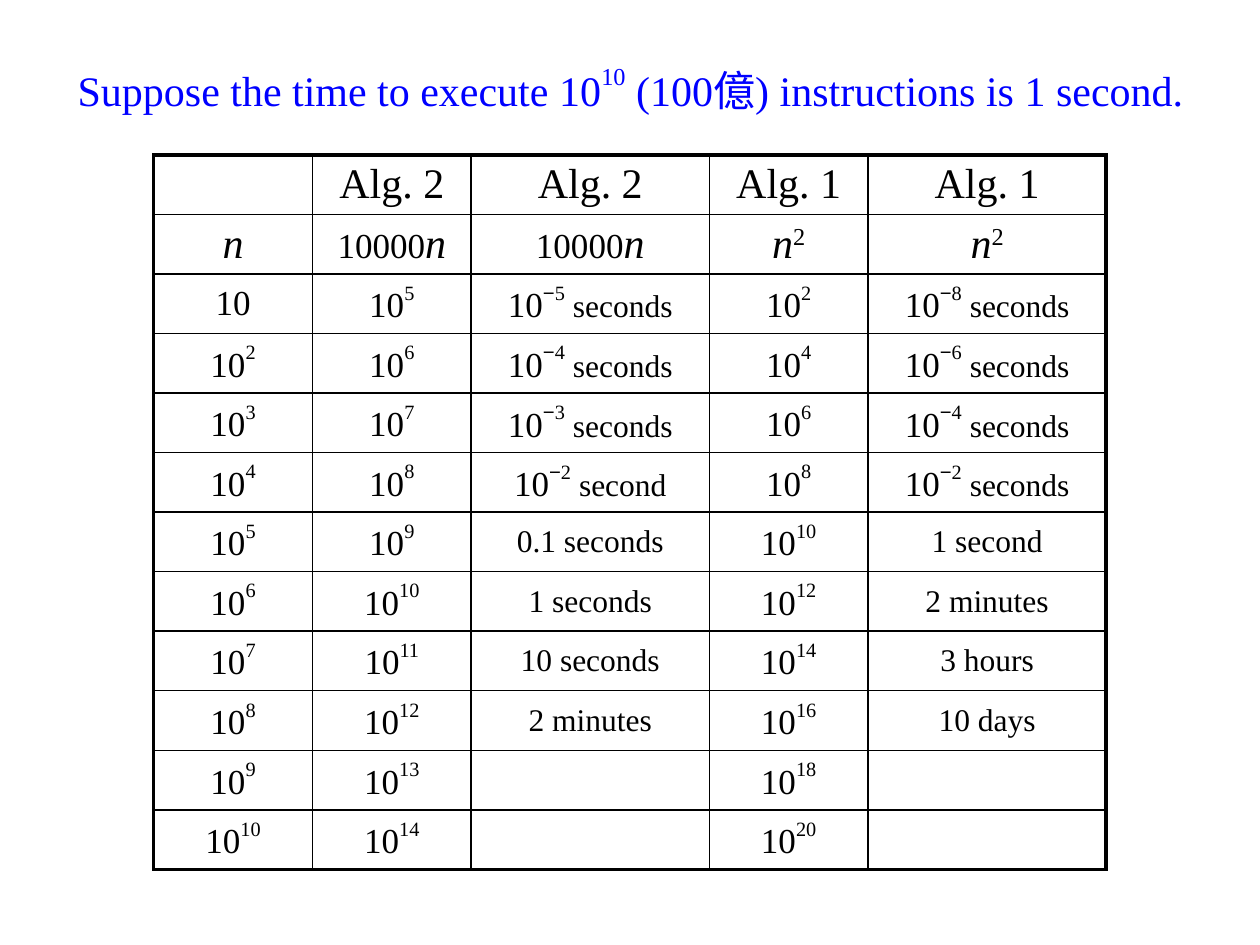
from lxml import etree
from pptx import Presentation
from pptx.dml.color import RGBColor
from pptx.enum.text import MSO_ANCHOR, PP_ALIGN
from pptx.oxml.ns import qn
from pptx.util import Pt

BLACK = RGBColor(0x00, 0x00, 0x00)
BLUE = RGBColor(0x00, 0x00, 0xFF)
CENTER = PP_ALIGN.CENTER
MIDDLE = MSO_ANCHOR.MIDDLE
SERIF = "Times New Roman"
SANS = "Arial"

COL_WIDTHS = [90.72, 90.72, 136.08, 90.72, 136.08]
ROW_HEIGHT = 34.02
INNER, OUTER = 1, 2.25

ALG2_TIMES = [(-5, " seconds"), (-4, " seconds"), (-3, " seconds"), (-2, " second"),
              "0.1 seconds", "1 seconds", "10 seconds", "2 minutes", "", ""]
ALG1_TIMES = [(-8, " seconds"), (-6, " seconds"), (-4, " seconds"), (-2, " seconds"),
              "1 second", "2 minutes", "3 hours", "10 days", "", ""]


def add_text(p, text, size=20, font=SERIF, color=BLACK, italic=False, raised=0):
    r = p.add_run()
    r.text = text
    r.font.size = Pt(size)
    r.font.name = font
    r.font.italic = italic
    r.font.color.rgb = color
    if raised:
        r.font._element.set("baseline", str(raised * 1000))


def power(exponent):
    runs = [("10", {})]
    if exponent < 0:
        runs.append(("\u2212", {"font": SANS, "raised": 50}))
    if exponent != 1:
        runs.append((str(abs(exponent)), {"raised": 50}))
    return runs


def duration(value):
    if isinstance(value, str):
        return [(value, {"size": 18})] if value else []
    exponent, unit = value
    return power(exponent) + [(unit, {"size": 18})]


def table_rows():
    n = ("n", {"size": 24, "italic": True})
    linear = [("10000", {}), n]
    square = [n, ("2", {"size": 24, "raised": 30})]
    alg1, alg2 = [[(name, {"size": 24})] for name in ("Alg. 1", "Alg. 2")]
    rows = [[[], alg2, alg2, alg1, alg1], [[n], linear, linear, square, square]]
    for k, (time2, time1) in enumerate(zip(ALG2_TIMES, ALG1_TIMES), 1):
        rows.append([power(k), power(k + 4), duration(time2),
                     power(2 * k), duration(time1)])
    return rows


def set_borders(cell, widths):
    tc_pr = cell._tc.get_or_add_tcPr()
    for i, (side, width) in enumerate(zip("LRTB", widths)):
        ln = etree.Element(qn("a:ln" + side), w=str(Pt(width)))
        fill = etree.SubElement(ln, qn("a:solidFill"))
        etree.SubElement(fill, qn("a:srgbClr"), val=str(BLACK))
        tc_pr.insert(i, ln)


def fill_cell(cell, runs, margin):
    cell.fill.background()
    cell.vertical_anchor = MIDDLE
    cell.margin_left = cell.margin_right = Pt(7.2)
    cell.margin_top = cell.margin_bottom = Pt(margin)
    p = cell.text_frame.paragraphs[0]
    p.alignment = CENTER
    for text, style in runs:
        add_text(p, text, **style)


def add_timing_table(s):
    rows = table_rows()
    last_row, last_col = len(rows) - 1, len(COL_WIDTHS) - 1
    table = s.shapes.add_table(len(rows), len(COL_WIDTHS), Pt(87.84), Pt(88.56),
                               Pt(sum(COL_WIDTHS)), Pt(ROW_HEIGHT * len(rows))).table
    table.first_row = table.horz_banding = False
    for column, width in zip(table.columns, COL_WIDTHS):
        column.width = Pt(width)
    for i, row in enumerate(rows):
        table.rows[i].height = Pt(ROW_HEIGHT)
        for j, runs in enumerate(row):
            cell = table.cell(i, j)
            fill_cell(cell, runs, 1.44 if i < 2 else 3.6)
            edges = (j == 0, j == last_col, i == 0, i == last_row)
            set_borders(cell, [OUTER if edge else INNER for edge in edges])


def add_title(s):
    sp = s.shapes.add_textbox(Pt(30.96), Pt(31.68), Pt(657.36), Pt(33.84))
    tf = sp.text_frame
    tf.word_wrap = True
    tf.margin_left, tf.margin_right = Pt(7.2), Pt(5.76)
    tf.margin_top = tf.margin_bottom = Pt(3.6)
    p = tf.paragraphs[0]
    p.alignment = CENTER
    p.space_before = Pt(4.8)
    add_text(p, "Suppose the time to execute 10", size=24, color=BLUE)
    add_text(p, "10", size=24, color=BLUE, raised=50)
    add_text(p, " (100億) instructions is 1 second.", size=24, color=BLUE)


def main():
    prs = Presentation()
    prs.slide_width, prs.slide_height = Pt(720), Pt(540)
    s = prs.slides.add_slide(prs.slide_layouts[6])
    add_timing_table(s)
    add_title(s)
    prs.save("out.pptx")


main()
